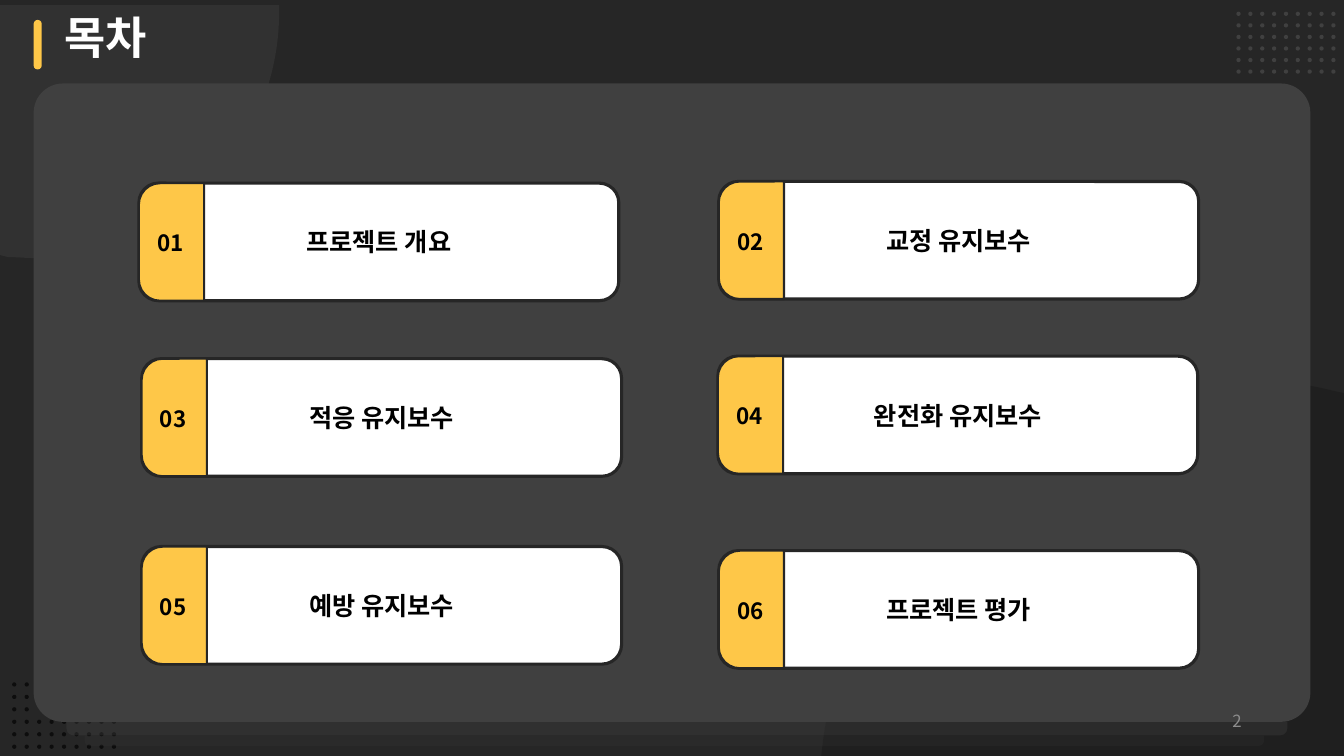
"""Builds the dark contents slide with six numbered cards."""
from lxml.etree import SubElement
from pptx import Presentation
from pptx.dml.color import RGBColor
from pptx.enum.shapes import MSO_SHAPE as SHAPE
from pptx.enum.text import MSO_ANCHOR as ANCHOR, MSO_AUTO_SIZE as AUTO, PP_ALIGN as ALIGN
from pptx.oxml.ns import qn
from pptx.util import Pt

TITLE = "목차"
PAGE = "2"
FONT = "Noto Sans CJK KR"
DARK, PANEL, YELLOW, WHITE, BLACK = "262626", "404040", "FEC748", "FFFFFF", "000000"
CARDS = [
    ("01", "프로젝트 개요", 99.2, 130.8),
    ("02", "교정 유지보수", 513.4, 129.6),
    ("03", "적응 유지보수", 101.2, 256.2),
    ("04", "완전화 유지보수", 512.8, 254.4),
    ("05", "예방 유지보수", 101.2, 390.4),
    ("06", "프로젝트 평가", 513.4, 393.3),
]
CARD_W, CARD_H, TAB_W = 342.8, 84, 46.6
DOT = 3
CORNER_DOTS = [2, 2, 2, 9, 9, 9]
TOP_DOTS = [9] * 6
RIGHT_SWEEP = [[(883.4, 271.4)], [(907.2, 271.4), (931, 273.6), (953.3, 279.4)],
               [(960, 280.8)], [(960, 540)], [(586.8, 540)], [(586.8, 538.6)],
               [(601.9, 388.1), (729.4, 271.4), (883.4, 271.4)]]
LEFT_SWEEP = [[(0, 3.6)], [(199.4, 3.6)], [(199.4, 8.6)],
              [(199.4, 105.8), (121, 184.3), (23.8, 184.3)],
              [(18, 184.3), (12.2, 183.6), (5.8, 183.6)], [(0, 182.2)]]


def paint(fill, colour, opacity=100):
    fill.solid()
    fill.fore_color.rgb = RGBColor.from_string(colour)
    if opacity < 100:
        tint = fill._xPr.find(qn("a:solidFill"))[0]
        SubElement(tint, qn("a:alpha"), val=str(opacity * 1000))


def finish(shape, colour, opacity=100, line=None):
    shape.shadow.inherit = False
    paint(shape.fill, colour, opacity)
    if line:
        paint(shape.line.fill, DARK)
        shape.line.width = Pt(line)
    else:
        shape.line.fill.background()
    return shape


def add_block(kind, left, top, width, height, colour, opacity=100, line=None, adj=()):
    block = slide.shapes.add_shape(kind, Pt(left), Pt(top), Pt(width), Pt(height))
    for index, value in enumerate(adj):
        block.adjustments[index] = value
    return finish(block, colour, opacity, line)


def write(frame, words, size, colour, bold=False, align=ALIGN.LEFT):
    frame.text = words
    line = frame.paragraphs[0]
    line.alignment = align
    line.font.size = Pt(size)
    line.font.bold = bold
    line.font.name = FONT
    paint(line.font.fill, colour)
    SubElement(line.font._element, qn("a:ea"), typeface=FONT)


def add_label(left, top, width, height, words, size, colour, wrap=True, **style):
    frame = slide.shapes.add_textbox(Pt(left), Pt(top), Pt(width), Pt(height)).text_frame
    frame.word_wrap = wrap
    write(frame, words, size, colour, **style)
    return frame


def add_dots(left, top, step_x, step_y, rows, colour, opacity=100):
    for row, count in enumerate(rows):
        for column in range(count):
            add_block(SHAPE.OVAL, left + column * step_x, top + row * step_y,
                      DOT, DOT, colour, opacity)


def add_sweep(parts, colour, opacity):
    corners = [(Pt(x), Pt(y)) for part in parts for x, y in part]
    builder = slide.shapes.build_freeform(*corners[0])
    builder.add_line_segments(corners[1:], close=False)
    sweep = finish(builder.convert_to_shape(), colour, opacity)
    outline = next(sweep._element.iter(qn("a:path")))
    segments = iter(outline.findall(qn("a:lnTo")))
    for part in parts[1:]:
        first, *others = [next(segments) for _ in part]
        if others:
            first.tag = qn("a:cubicBezTo")
        for other in others:
            first.append(other[0])
            outline.remove(other)
    SubElement(outline, qn("a:close"))


def add_card(number, topic, left, top):
    card = add_block(SHAPE.ROUNDED_RECTANGLE, left, top, CARD_W, CARD_H, WHITE, line=2.25)
    card.text_frame.vertical_anchor = ANCHOR.MIDDLE
    card.text_frame.word_wrap = True
    write(card.text_frame, topic, 18, BLACK, bold=True, align=ALIGN.CENTER)
    shift = (CARD_H - TAB_W) / 2
    tab = add_block(SHAPE.ROUND_2_SAME_RECTANGLE, left - shift, top + shift,
                    CARD_H, TAB_W, YELLOW, line=1.5, adj=(0.325, 0))
    tab.rotation = 270
    label = add_label(left + 6, top + 29.5, 33, 26.6, number, 16, BLACK,
                      wrap=False, bold=True)
    label.auto_size = AUTO.SHAPE_TO_FIT_TEXT


deck = Presentation()
deck.slide_width, deck.slide_height = Pt(960), Pt(540)
slide = deck.slides.add_slide(deck.slide_layouts[6])
paint(slide.background.fill, DARK)

heading = add_label(38.9, 3.6, 637.2, 46, TITLE, 32, WHITE, bold=True)
heading.auto_size = AUTO.SHAPE_TO_FIT_TEXT
add_dots(8.7, 487.4, 8.9, 8.9, CORNER_DOTS, BLACK, 64)
add_sweep(RIGHT_SWEEP, BLACK, 17)
add_sweep(LEFT_SWEEP, WHITE, 5)
add_block(SHAPE.ROUNDED_RECTANGLE, 24, 59.6, 912, 456, PANEL, adj=(0.046,))
add_block(SHAPE.ROUNDED_RECTANGLE, 24, 14.2, 5.8, 35.4, YELLOW, adj=(0.5,))
add_dots(883.2, 8.4, 8.47, 8.25, TOP_DOTS, PANEL)
add_block(SHAPE.ROUND_2_SAME_RECTANGLE, 47.5, 515.6, 872, 9.6, PANEL, 39, adj=(0, 0.5))
add_block(SHAPE.ROUND_2_SAME_RECTANGLE, 60.5, 525.4, 842.4, 7.4, PANEL, 18, adj=(0, 0.5))
for entry in CARDS:
    add_card(*entry)
footer = add_label(678, 500.5, 216, 28.8, PAGE, 12, "8C8C8C", align=ALIGN.RIGHT)
footer.vertical_anchor = ANCHOR.MIDDLE

deck.save("out.pptx")
